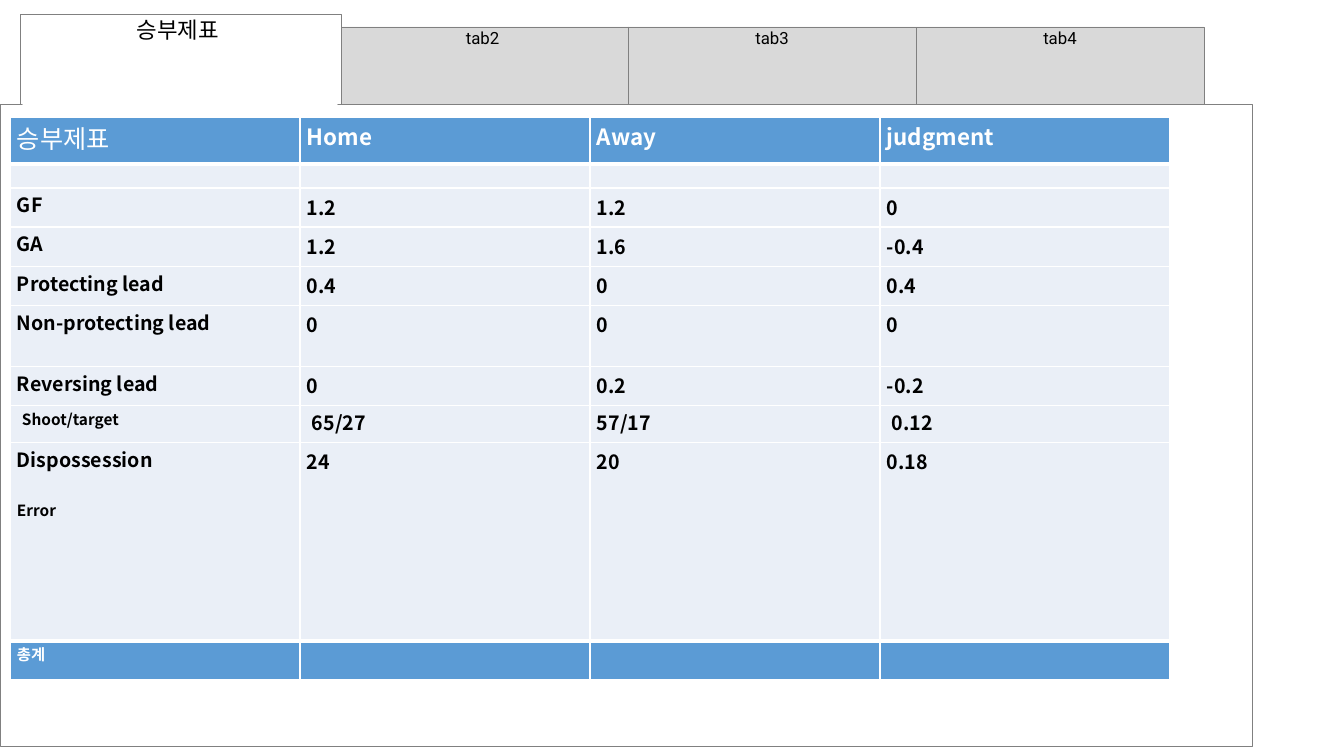
from lxml.etree import SubElement
from pptx import Presentation
from pptx.dml.color import RGBColor
from pptx.enum.shapes import MSO_SHAPE
from pptx.enum.text import MSO_ANCHOR, PP_ALIGN
from pptx.oxml.ns import qn
from pptx.util import Emu, Pt

SCALE = 914400 / 100.8
TABLE_FONT = "Noto Sans CJK KR"
WHITE, BLACK, GRAY, BLUE, PALE = "FFFFFF", "000000", "808080", "5B9BD5", "EAEFF7"


def px(length):
    return Emu(round(length * SCALE))


def add_text(paragraph, text, font_name, size, color, bold=False):
    run = paragraph.add_run()
    run.text = text
    font = run.font
    font.name, font.size, font.bold = font_name, Pt(size), bold
    font.color.rgb = RGBColor.from_string(color)
    SubElement(font._element, qn("a:ea"), typeface=TABLE_FONT)


presentation = Presentation()
presentation.slide_width, presentation.slide_height = px(1344), px(756)
slide = presentation.slides.add_slide(presentation.slide_layouts[6])

# Panel and tabs: box, fill, line colour, line width, text, size, left and top inset
boxes = [
    ((0, 104, 1252, 642), WHITE, GRAY, 0.25, "", 0, 0, 0),
    ((341, 27, 288, 77), "D9D9D9", GRAY, 0.25, "tab2", 12, 0, 1),
    ((628, 27, 288, 77), "D9D9D9", GRAY, 0.25, "tab3", 12, 5, 1),
    ((20, 14, 321, 90), WHITE, GRAY, 0.25, "승부제표", 16, 0, 2),
    ((23, 104, 314, 0), WHITE, WHITE, 1, "", 0, 0, 0),
    ((916, 27, 288, 77), "D9D9D9", GRAY, 0.25, "tab4", 12, 5, 1),
]
for box, fill, line_color, line_width, text, size, left_inset, top_inset in boxes:
    shape = slide.shapes.add_shape(MSO_SHAPE.RECTANGLE, *map(px, box))
    shape.shadow.inherit = False
    shape.fill.solid()
    shape.fill.fore_color.rgb = RGBColor.from_string(fill)
    shape.line.color.rgb = RGBColor.from_string(line_color)
    shape.line.width = Pt(line_width)
    if text:
        frame = shape.text_frame
        frame.word_wrap = True
        frame.vertical_anchor = MSO_ANCHOR.TOP
        frame.margin_left, frame.margin_top = px(left_inset), px(top_inset)
        frame.margin_right = frame.margin_bottom = px(5)
        paragraph = frame.paragraphs[0]
        paragraph.alignment = PP_ALIGN.CENTER
        add_text(paragraph, text, "Roboto", size, BLACK)

# Match table
rows = [
    ("승부제표", "Home", "Away", "judgment"),
    ("", "", "", ""),
    ("GF", "1.2", "1.2", "0"),
    ("GA", "1.2", "1.6", "-0.4"),
    ("Protecting lead", "0.4", "0", "0.4"),
    ("Non-protecting lead", "0", "0", "0"),
    ("Reversing lead", "0", "0.2", "-0.2"),
    ("Shoot/target", "65/27", "57/17", "0.12"),
    ("Dispossession", "24", "20", "0.18"),
    ("총계", "", "", ""),
]
row_heights = [47, 24, 39, 40, 39, 61, 39, 37, 198, 39]
small_labels = ("Shoot/target", "총계")
indented = ("Shoot/target", "65/27", "0.12")
last = len(rows) - 1

table = slide.shapes.add_table(len(rows), 4, px(10), px(117), px(1160), px(sum(row_heights))).table
table.first_row = table.horz_banding = False
for column in table.columns:
    column.width = px(290)

for row_index, (texts, height) in enumerate(zip(rows, row_heights)):
    table.rows[row_index].height = px(height)
    is_band = row_index in (0, last)
    borders = {
        "lnL": 1,
        "lnR": 1,
        "lnT": 3 if row_index in (1, last) else 1,
        "lnB": 3 if row_index in (0, last - 1) else 1,
    }
    for column_index, text in enumerate(texts):
        cell = table.cell(row_index, column_index)
        cell.margin_left = px(12 if text in indented else 7)
        cell.margin_right = px(7)
        cell.margin_top = cell.margin_bottom = 0

        properties = cell._tc.get_or_add_tcPr()
        for side, width in borders.items():
            border = SubElement(properties, qn(f"a:{side}"), w=str(Pt(width)))
            border_fill = SubElement(border, qn("a:solidFill"))
            SubElement(border_fill, qn("a:srgbClr"), val=WHITE)
        cell.fill.solid()
        cell.fill.fore_color.rgb = RGBColor.from_string(BLUE if is_band else PALE)

        paragraph = cell.text_frame.paragraphs[0]
        if not text:
            paragraph.font.size = Pt(8)
            continue
        is_value = column_index > 0 and not is_band and texts[0] != "Shoot/target"
        paragraph.line_spacing = 1.15 if is_value else 1.07
        if row_index == 0:
            size = 16 if column_index else 18
        else:
            size = 11 if text in small_labels else 14
        is_title = row_index == 0 and column_index == 0
        add_text(paragraph, text, TABLE_FONT, size, WHITE if is_band else BLACK, not is_title)

error_paragraph = table.cell(last - 1, 0).text_frame.add_paragraph()
error_paragraph.line_spacing = 1.07
error_paragraph.space_before = Pt(17)
add_text(error_paragraph, "Error", TABLE_FONT, 11, BLACK, True)

presentation.save("out.pptx")
